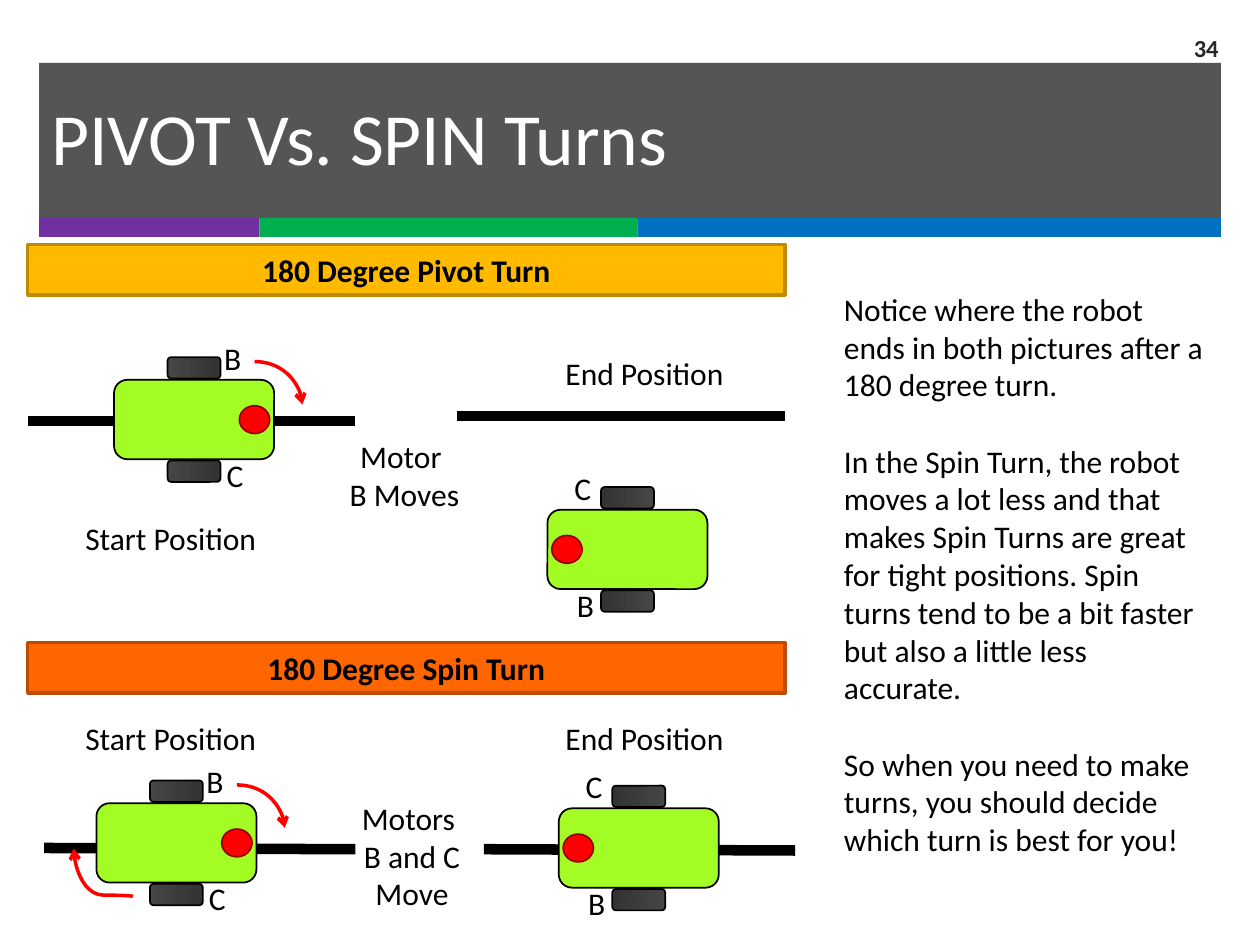
import pptx
import pptx.util
import pptx.oxml.ns
import pptx.oxml.xmlchemy
import pptx.dml.color
import pptx.enum.shapes
import pptx.enum.text

Inches = pptx.util.Inches
Pt = pptx.util.Pt
KIND = pptx.enum.shapes.MSO_SHAPE
LINK = pptx.enum.shapes.MSO_CONNECTOR
ALIGN = pptx.enum.text.PP_ALIGN
ANCHOR = pptx.enum.text.MSO_ANCHOR
qn = pptx.oxml.ns.qn

COLORS = {
    "black": "000000", "white": "FFFFFF", "band": "0D0D0D", "number": "262626",
    "purple": "7030A0", "green": "00B050", "blue": "0070C0",
    "gold": "FFBA00", "bronze": "BD8A00", "orange": "FF6600", "rust": "BD4B00",
    "lime": "A3FC24", "light": "464646", "dark": "333333",
    "red": "FF0000", "maroon": "960000",
}

NOTES = [
    "Notice where the robot ends in both pictures after a 180 degree turn.",
    "In the Spin Turn, the robot moves a lot less and that makes Spin Turns are "
    "great for tight positions. Spin turns tend to be a bit faster but also a "
    "little less accurate.",
    "So when you need to make turns, you should decide which turn is best for you!",
]


def paint(name):
    return pptx.dml.color.RGBColor.from_string(COLORS[name])


def child(parent, tag, **attrs):
    node = pptx.oxml.xmlchemy.OxmlElement(tag)
    for key, value in attrs.items():
        node.set(key, value)
    parent.append(node)


def write(shape, text, size=18, color="black", bold=False, align=ALIGN.LEFT,
          anchor=ANCHOR.TOP, gap=0):
    frame = shape.text_frame
    frame.word_wrap = True
    frame.vertical_anchor = anchor
    lines = [text] if isinstance(text, str) else text
    for i, line in enumerate(lines):
        para = frame.paragraphs[0] if i == 0 else frame.add_paragraph()
        para.text = line
        para.alignment = align
        if i and gap:
            para.space_before = Pt(gap)
        para.font.name = "Calibri"
        para.font.size = Pt(size)
        para.font.bold = bold
        para.font.color.rgb = paint(color)


def label(slide, text, x, y, w, h, **style):
    box = slide.shapes.add_textbox(Inches(x), Inches(y), Inches(w), Inches(h))
    write(box, text, **style)


def block(slide, x, y, w, h, fill, edge=None, width=1, kind=KIND.RECTANGLE, turn=0):
    shape = slide.shapes.add_shape(kind, Inches(x), Inches(y), Inches(w), Inches(h))
    shape.shadow.inherit = False
    shape.rotation = turn
    if isinstance(fill, tuple):
        shape.fill.gradient()
        shape.fill.gradient_angle = 90
        for stop, name in zip(shape.fill.gradient_stops, fill):
            stop.color.rgb = paint(name)
    else:
        shape.fill.solid()
        shape.fill.fore_color.rgb = paint(fill)
    if edge:
        shape.line.color.rgb = paint(edge)
        shape.line.width = Pt(width)
    else:
        shape.line.fill.background()
    return shape


def stroke(slide, start, end, color="black", width=6, kind=LINK.STRAIGHT):
    points = [Inches(v) for v in (*start, *end)]
    line = slide.shapes.add_connector(kind, *points)
    line.line.color.rgb = paint(color)
    line.line.width = Pt(width)
    child(line._element.spPr, "a:effectLst")
    return line


def arrow(slide, start, end, turn=0, bend=None):
    line = stroke(slide, start, end, "red", 2, LINK.CURVE)
    props = line._element.spPr
    child(props.find(qn("a:ln")), "a:tailEnd", type="arrow")
    shape = props.find(qn("a:prstGeom"))
    if bend is None:
        shape.set("prst", "curvedConnector2")
    else:
        guides = shape.find(qn("a:avLst"))
        child(guides, "a:gd", name="adj1", fmla=f"val {bend}")
    if turn:
        props.find(qn("a:xfrm")).set("rot", str(turn * 60000))


def robot(slide, x, y, ahead=True):
    side, turn = (1, 90) if ahead else (-1, 270)

    def part(dx, dy, w, h, fill, edge="black", kind=KIND.ROUNDED_RECTANGLE):
        block(slide, x + dx - w / 2, y + dy - h / 2, w, h, fill, edge,
              kind=kind, turn=turn)

    part(0, 0, 0.63, 1.27, "lime")
    for dy in (0.41, -0.41):
        part(0, dy, 0.17, 0.42, ("light", "dark"))
    part(side * 0.48, 0, 0.22, 0.24, "red", "maroon", KIND.OVAL)
    top, low = "BC" if ahead else "CB"
    shift = 0.14 if ahead else -0.52
    label(slide, top, x + shift, y - 0.69, 0.51, 0.32)
    label(slide, low, x + shift + 0.02, y + 0.24, 0.51, 0.32)
    if ahead:
        arrow(slide, (x + 0.48, y - 0.46), (x + 0.86, y - 0.12))


def header(slide):
    band = block(slide, 0.31, 0.5, 9.38, 1.24, "band")
    tone = band._element.spPr.find(qn("a:solidFill"))[0]
    child(tone, "a:alpha", val="70000")
    x = 0.31
    for width, color in ((1.75, "purple"), (3, "green"), (4.63, "blue")):
        block(slide, x, 1.73, width, 0.15, color)
        x += width
    label(slide, "PIVOT Vs. SPIN Turns", 0.31, 0.55, 9.38, 1.06, size=42,
          color="white", anchor=ANCHOR.MIDDLE)
    label(slide, "34", 9.08, 0.18, 0.69, 0.39, size=14, color="number", bold=True,
          align=ALIGN.RIGHT, anchor=ANCHOR.MIDDLE)


def main():
    deck = pptx.Presentation()
    deck.slide_width, deck.slide_height = Inches(10), Inches(7.5)
    slide = deck.slides.add_slide(deck.slide_layouts[6])
    header(slide)

    for y, text, fill, edge in (
        (1.94, "180 Degree Pivot Turn", "gold", "bronze"),
        (5.1, "180 Degree Spin Turn", "orange", "rust"),
    ):
        bar = block(slide, 0.22, y, 6.01, 0.4, fill, edge, 2)
        write(bar, text, bold=True, align=ALIGN.CENTER)

    for start, end in (
        ((0.22, 3.34), (2.82, 3.34)),
        ((3.63, 3.3), (6.23, 3.3)),
        ((0.35, 6.73), (2.82, 6.74)),
        ((3.84, 6.74), (6.31, 6.75)),
    ):
        stroke(slide, start, end)

    robot(slide, 1.54, 3.33)
    robot(slide, 4.98, 4.36, ahead=False)
    robot(slide, 1.4, 6.69)
    robot(slide, 5.07, 6.73, ahead=False)
    arrow(slide, (0.63, 7.16), (1.01, 6.69), turn=270, bend=2800)

    for text, x, y, w, h in (
        ("Start Position", 0.42, 4.07, 1.87, 0.4),
        ("End Position", 4.18, 2.76, 1.87, 0.4),
        ("Start Position", 0.42, 5.66, 1.87, 0.4),
        ("End Position", 4.18, 5.66, 1.87, 0.4),
        (["Motor ", "B Moves"], 2.48, 3.42, 1.46, 0.71),
        (["Motors ", "B and C Move"], 2.54, 6.29, 1.46, 1.01),
    ):
        label(slide, text, x, y, w, h, align=ALIGN.CENTER)
    label(slide, NOTES, 6.6, 2.25, 3.07, 4.95, gap=22)
    deck.save("out.pptx")


if __name__ == "__main__":
    main()
